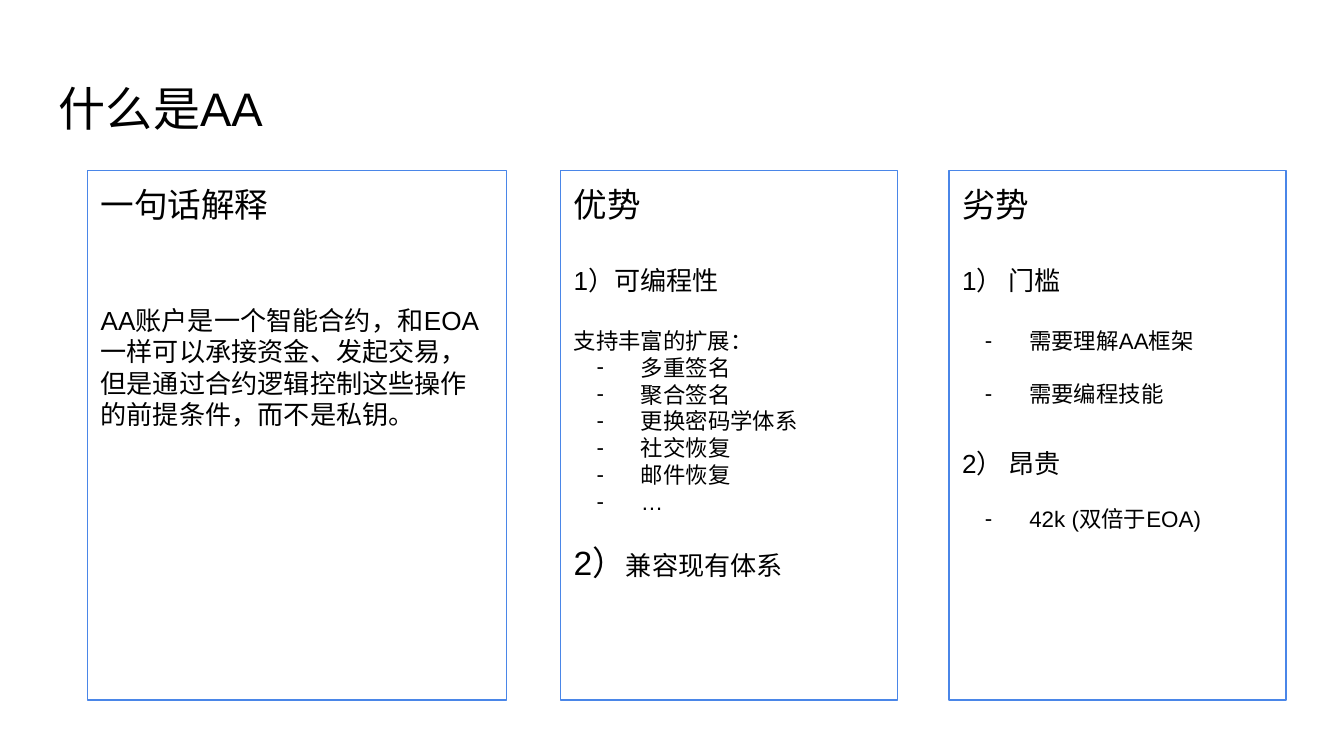
"""Build a slide that explains AA accounts with their pros and cons."""
from lxml import etree
from pptx import Presentation
from pptx import util as u
from pptx.dml.color import RGBColor
from pptx.enum import shapes, text
from pptx.oxml.ns import qn

BLACK = RGBColor(0x00, 0x00, 0x00)
BLUE = RGBColor(0x4A, 0x86, 0xE8)
FONT = "Arial"
HEAD, ITEM, NOTE = 18, 14, 12
LEAD = 1.19
WIDE = 10
TOP, HIGH = 1.27, 3.94


def blank(size):
    """Return the height in points of one line of this size."""
    return round(size * LEAD, 1)


def line(words, size, gap=0):
    """Describe a plain paragraph."""
    return [(words, size)], gap, False


def dash(words, gap=0):
    """Describe a dashed paragraph."""
    return [(words, NOTE)], gap, True


def add_dash(para):
    """Give a paragraph a hanging dash."""
    props = para._p.get_or_add_pPr()
    props.set("marL", str(u.Inches(0.5)))
    props.set("indent", str(u.Inches(-0.33)))
    tint = etree.SubElement(props, qn("a:buClr"))
    etree.SubElement(tint, qn("a:srgbClr")).set("val", str(BLACK))
    etree.SubElement(props, qn("a:buFont")).set("typeface", FONT)
    etree.SubElement(props, qn("a:buChar")).set("char", "-")


def fill_text(frame, paras):
    """Write paragraphs into a text frame, run by run."""
    frame.word_wrap = True
    frame.vertical_anchor = text.MSO_ANCHOR.TOP
    frame.margin_left = frame.margin_right = u.Inches(0.1)
    frame.margin_top = frame.margin_bottom = u.Inches(0.1)
    for i, (runs, gap, mark) in enumerate(paras):
        para = frame.add_paragraph() if i else frame.paragraphs[0]
        if mark:
            add_dash(para)
        para.alignment = text.PP_ALIGN.LEFT
        if gap:
            para.space_before = u.Pt(gap)
        for words, size in runs:
            run = para.add_run()
            run.text = words
            run.font.size = u.Pt(size)
            run.font.name = FONT
            run.font.color.rgb = BLACK


def add_title(slide, words):
    """Add the slide title."""
    box = slide.shapes.add_textbox(
        u.Inches(0.34), u.Inches(0.49), u.Inches(9.32), u.Inches(0.63))
    fill_text(box.text_frame, [line(words, 25.2)])


def add_panel(slide, left, wide, head, paras):
    """Add an outlined panel with a heading and its paragraphs."""
    box = slide.shapes.add_shape(
        shapes.MSO_SHAPE.RECTANGLE,
        u.Inches(left), u.Inches(TOP), u.Inches(wide), u.Inches(HIGH))
    box.shadow.inherit = False
    box.fill.background()
    box.line.color.rgb = BLUE
    box.line.width = u.Pt(0.75)
    fill_text(box.text_frame, [line(head, HEAD)] + paras)


def main():
    """Build and save the slide."""
    deck = Presentation()
    deck.slide_width = u.Inches(WIDE)
    deck.slide_height = u.Inches(WIDE * 9 / 16)
    slide = deck.slides.add_slide(deck.slide_layouts[6])
    add_title(slide, "什么是AA")

    about = ("AA账户是一个智能合约，和EOA一样可以承接资金、发起交易，"
             "但是通过合约逻辑控制这些操作的前提条件，而不是私钥。")
    add_panel(slide, 0.65, 3.12, "一句话解释",
              [line(about, ITEM, 2 * blank(HEAD))])

    perks = ["多重签名", "聚合签名", "更换密码学体系", "社交恢复", "邮件恢复", "…"]
    add_panel(slide, 4.17, 2.51, "优势", [
        line("1）可编程性", ITEM, blank(HEAD)),
        line("支持丰富的扩展：", NOTE, blank(ITEM)),
        *[dash(perk) for perk in perks],
        ([("2）", HEAD), ("兼容现有体系", ITEM)], blank(NOTE), False),
    ])

    add_panel(slide, 7.06, 2.51, "劣势", [
        line("1） 门槛", ITEM, blank(HEAD)),
        dash("需要理解AA框架", blank(ITEM)),
        dash("需要编程技能", blank(NOTE)),
        line("2） 昂贵", ITEM, blank(HEAD)),
        dash("42k (双倍于EOA)", blank(NOTE)),
    ])
    deck.save("out.pptx")


if __name__ == "__main__":
    main()
